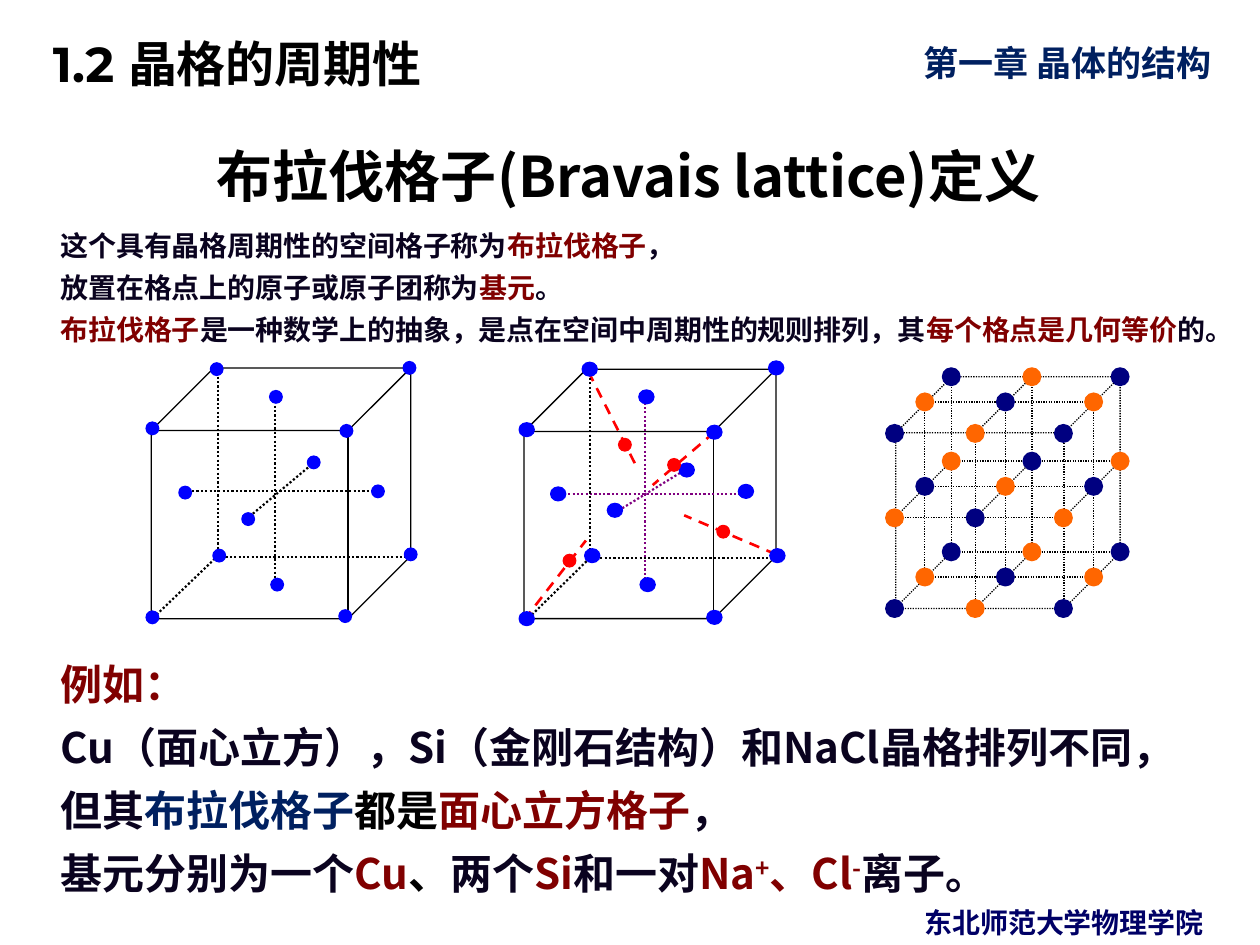
from dataclasses import dataclass
from itertools import product
from typing import NamedTuple

from lxml.etree import SubElement
from pptx import Presentation
from pptx.dml.color import RGBColor as Rgb
from pptx.enum.dml import MSO_LINE as Dash
from pptx.enum.lang import MSO_LANGUAGE_ID as Lang
from pptx.enum.shapes import MSO_CONNECTOR as Link, MSO_SHAPE as Form
from pptx.enum.text import MSO_ANCHOR as Anchor, MSO_AUTO_SIZE as Fit, PP_ALIGN as Align
from pptx.oxml.ns import qn
from pptx.util import Inches, Pt


@dataclass(frozen=True)
class Theme:
    sans: str = "Noto Sans CJK SC"
    head: str = "Montserrat"
    black: str = "000000"
    ink: str = "0A031F"
    wine: str = "800000"
    deep: str = "002060"
    foot: str = "000066"
    blue: str = "0000FF"
    red: str = "FF0000"
    plum: str = "800080"
    navy: str = "000080"
    gold: str = "FF6600"
    title: int = 32
    topic: int = 28
    large: int = 24
    medium: int = 20
    small: int = 16


class Run(NamedTuple):
    text: str
    color: str
    base: int = 0


class Pen(NamedTuple):
    color: str
    width: float
    dash: Dash | None = None


class Edge(NamedTuple):
    start: tuple[float, float]
    end: tuple[float, float]
    pen: Pen


class Dot(NamedTuple):
    x: float
    y: float
    size: tuple[float, float]
    color: str


class Cube(NamedTuple):
    x: float
    y: float
    w: float
    h: float
    pen: Pen


T = Theme()
SOLID = Pen(T.black, 0.75)
FINE = Pen(T.black, 0.75, Dash.ROUND_DOT)
DOTS = Pen(T.black, 1.25, Dash.ROUND_DOT)
AXIS = Pen(T.plum, 1.25, Dash.ROUND_DOT)
BOND = Pen(T.red, 1.5, Dash.DASH)


def write(shape, lines: list[list[Run]], *, size: int, font: str = T.sans,
          align: Align = Align.LEFT, anchor: Anchor = Anchor.TOP,
          space: float = 1.0, inset: float = 0.1) -> None:
    frame = shape.text_frame
    frame.word_wrap = True
    frame.auto_size = Fit.NONE
    frame.vertical_anchor = anchor
    frame.margin_left = Inches(inset)
    for n, line in enumerate(lines):
        para = frame.add_paragraph() if n else frame.paragraphs[0]
        para.alignment = align
        para.line_spacing = space
        para.space_before = Pt(0)
        for item in line:
            run = para.add_run()
            run.text = item.text
            run.font.size = Pt(size)
            run.font.bold = True
            run.font.color.rgb = Rgb.from_string(item.color)
            run.font.name = font
            run.font.language_id = Lang.SIMPLIFIED_CHINESE
            props = run._r.get_or_add_rPr()
            SubElement(props, qn("a:ea")).set("typeface", T.sans)
            if item.base:
                props.set("baseline", str(item.base * 1000))


def place(shape, x: float, y: float, w: float, h: float) -> None:
    shape.left, shape.top = Inches(x), Inches(y)
    shape.width, shape.height = Inches(w), Inches(h)


def stroke(line, pen: Pen) -> None:
    line.color.rgb = Rgb.from_string(pen.color)
    line.width = Pt(pen.width)
    if pen.dash:
        line.dash_style = pen.dash


def draw_edge(group, edge: Edge) -> None:
    ends = [Inches(v) for v in (*edge.start, *edge.end)]
    wire = group.shapes.add_connector(Link.STRAIGHT, *ends)
    stroke(wire.line, edge.pen)
    SubElement(wire._element.spPr, qn("a:effectLst"))


def draw_cube(group, cube: Cube) -> None:
    box = group.shapes.add_shape(Form.CUBE, *[Inches(v) for v in cube[:4]])
    box.adjustments[0] = 0.25
    box.fill.background()
    box.shadow.inherit = False
    stroke(box.line, cube.pen)


def draw_dot(group, dot: Dot) -> None:
    w, h = dot.size
    spot = group.shapes.add_shape(Form.OVAL, Inches(dot.x - w / 2), Inches(dot.y - h / 2),
                                  Inches(w), Inches(h))
    spot.fill.solid()
    spot.fill.fore_color.rgb = Rgb.from_string(dot.color)
    spot.shadow.inherit = False
    stroke(spot.line, Pen(dot.color, 0.75))


def draw_cell(slide, cube: Cube, edges: list[Edge], dots: list[Dot]) -> None:
    group = slide.shapes.add_group_shape()
    draw_cube(group, cube)
    for edge in edges:
        draw_edge(group, edge)
    for dot in dots:
        draw_dot(group, dot)


def draw_copper(slide) -> None:
    lines = [((1.98, 4.1), (2.47, 3.69)), ((2.18, 3.15), (2.18, 4.65)),
             ((1.49, 3.9), (2.98, 3.9)), ((1.73, 2.92), (1.73, 4.43)),
             ((1.72, 4.42), (3.27, 4.42)), ((1.73, 4.41), (1.21, 4.91))]
    spots = [(1.21, 3.4), (2.75, 3.42), (1.21, 4.9), (2.74, 4.89),
             (1.72, 2.93), (3.25, 2.92), (1.74, 4.41), (3.26, 4.4),
             (2.19, 3.15), (2.2, 4.64), (1.97, 4.12), (2.49, 3.67),
             (1.47, 3.91), (3, 3.9)]
    draw_cell(slide, Cube(1.2, 2.92, 2.06, 1.99, SOLID),
              [Edge(*ends, DOTS) for ends in lines],
              [Dot(*spot, (0.1, 0.1), T.blue) for spot in spots])


def draw_silicon(slide) -> None:
    bonds = [((5.67, 3.43), (5.18, 3.85)), ((4.16, 4.92), (4.65, 4.29)),
             ((6.16, 4.4), (5.43, 4.09)), ((4.67, 2.95), (5.04, 3.68))]
    axes = [((4.88, 4.07), (5.42, 3.74)), ((5.12, 3.16), (5.12, 4.67)),
            ((4.44, 3.92), (5.89, 3.92))]
    rear = [((4.68, 2.93), (4.68, 4.45)), ((4.66, 4.43), (6.17, 4.43)),
            ((4.68, 4.43), (4.17, 4.93))]
    spots = [(4.18, 3.41), (5.67, 3.43), (4.18, 4.91), (5.67, 4.9),
             (4.68, 2.93), (6.16, 2.92), (4.7, 4.41), (6.17, 4.41),
             (5.13, 3.15), (5.14, 4.64), (4.88, 4.05), (5.45, 3.73),
             (4.43, 3.92), (5.92, 3.9)]
    inner = [(5.35, 3.69), (4.96, 3.53), (5.74, 4.22), (4.52, 4.45)]
    sets = [(bonds, BOND), (axes, AXIS), (rear, DOTS)]
    draw_cell(slide, Cube(4.16, 2.93, 2, 1.98, SOLID),
              [Edge(*ends, pen) for group, pen in sets for ends in group],
              [Dot(*spot, (0.12, 0.11), T.blue) for spot in spots]
              + [Dot(*spot, (0.1, 0.1), T.red) for spot in inner])


def draw_salt(slide) -> None:
    cols, rows = (7.1, 7.74, 8.44), (3.44, 4.11, 4.83)
    shift, lift = (0, 0.24, 0.45), (0, 0.25, 0.45)

    def site(col: int, row: int, deep: int) -> tuple[float, float]:
        return cols[col] + shift[deep], rows[row] - lift[deep]

    shown = {0: {(0, 0), (2, 0), (0, 2)}, 1: {(0, 0), (2, 0), (2, 2)},
             2: {(0, 0), (2, 0), (2, 2)}}
    edges = []
    for axis, pair in product(range(3), product(range(3), repeat=2)):
        if pair not in shown[axis]:
            ends = [site(*pair[:axis], step, *pair[axis:]) for step in (0, 2)]
            edges.append(Edge(*ends, FINE))
    dots = [Dot(*site(*key), (0.14, 0.14), T.gold if sum(key) % 2 else T.navy)
            for key in product(range(3), repeat=3)]
    draw_cell(slide, Cube(7.11, 2.99, 1.78, 1.84, FINE), edges, dots)


def add_box(slide, x: float, y: float, w: float, h: float):
    return slide.shapes.add_textbox(Inches(x), Inches(y), Inches(w), Inches(h))


def main() -> None:
    deck = Presentation()
    deck.slide_width, deck.slide_height = Inches(10), Inches(7.5)
    slide = deck.slides.add_slide(deck.slide_layouts[5])
    write(add_box(slide, 7.23, 0.28, 2.83, 0.43), [[Run("第一章 晶体的结构", T.deep)]],
          size=T.medium, font=T.head)
    write(add_box(slide, 0, 0.12, 8.17, 0.64), [[Run("1.2 晶格的周期性", T.black)]],
          size=T.topic, font=T.head, anchor=Anchor.MIDDLE, space=1.25, inset=0.42)
    write(add_box(slide, 6.89, 7.14, 3.11, 0.37), [[Run("东北师范大学物理学院", T.foot)]],
          size=T.small, align=Align.CENTER)
    title = slide.shapes.title
    place(title, 0.48, 0.89, 9.02, 0.82)
    write(title, [[Run("布拉伐格子(Bravais lattice)定义", T.black)]], size=T.title,
          align=Align.CENTER, anchor=Anchor.BOTTOM, space=0.9)
    write(add_box(slide, 0, 1.7, 10, 1.28), [
        [Run("这个具有晶格周期性的空间格子称为", T.ink), Run("布拉伐格子", T.wine), Run("，", T.ink)],
        [Run("放置在格点上的原子或原子团称为", T.ink), Run("基元", T.wine), Run("。", T.ink)],
        [Run("布拉伐格子", T.wine),
         Run("是一种数学上的抽象，是点在空间中周期性的规则排列，其", T.ink),
         Run("每个格点是几何等价", T.wine), Run("的。", T.ink)],
    ], size=T.small, font=T.head, space=1.25, inset=0.48)
    draw_silicon(slide)
    draw_salt(slide)
    draw_copper(slide)
    write(add_box(slide, 0.38, 5.08, 9.3, 2.12), [
        [Run("例如：", T.wine)],
        [Run("Cu（面心立方），Si（金刚石结构）和NaCl晶格排列不同，", T.ink)],
        [Run("但其", T.ink), Run("布拉伐格子", T.deep), Run("都是", T.black),
         Run("面心立方格子", T.wine), Run("，", T.ink)],
        [Run("基元分别为一个", T.ink), Run("Cu", T.wine), Run("、", T.black),
         Run("两个", T.ink), Run("Si", T.wine), Run("和一对", T.ink), Run("Na", T.wine),
         Run("+", T.wine, 30), Run("、Cl", T.wine), Run("-", T.wine, 30), Run("离子。", T.ink)],
    ], size=T.large, space=1.25)
    deck.save("out.pptx")


if __name__ == "__main__":
    main()
